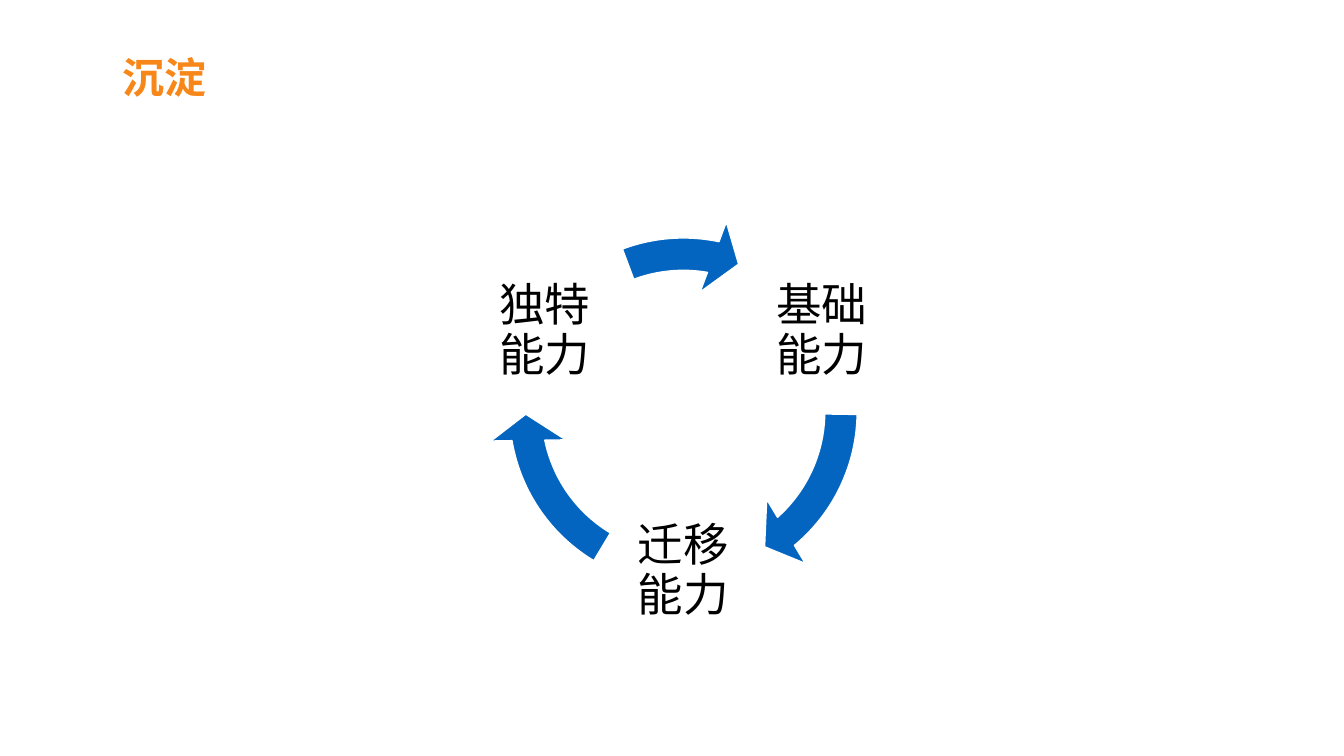
from math import cos, radians, sin
from pptx import Presentation
from pptx.dml.color import RGBColor
from pptx.enum.shapes import MSO_SHAPE
from pptx.enum.text import MSO_ANCHOR, PP_ALIGN
from pptx.oxml.ns import qn
from pptx.util import Pt

STEPS = [
    ("基础", "能力", -30, (29.62, 0.53)),
    ("迁移", "能力", 90, (101.705, 72.615)),
    ("独特", "能力", 210, (168.55, 149.685)),
]


def paint(color, tone):
    """Set a solid colour from a hex string."""
    color.rgb = RGBColor.from_string(tone)


def add_run(para, text, size, face, tone, bold=False):
    """Add one run of styled text."""
    run = para.add_run()
    run.text = text
    font = run.font
    font.size, font.name, font.bold = Pt(size), face, bold
    paint(font.color, tone)
    return run


def text_frame(shapes, box, anchor, inset):
    """Add a wrapping text box and return its frame."""
    frame = shapes.add_textbox(*map(Pt, box)).text_frame
    frame.word_wrap = True
    frame.vertical_anchor = anchor
    frame.margin_left = frame.margin_right = Pt(inset)
    frame.margin_top = frame.margin_bottom = Pt(inset)
    return frame


def add_title(shapes, box, text):
    """Place the slide heading at the bottom of its box."""
    face = "Noto Sans CJK SC"
    frame = text_frame(shapes, box, MSO_ANCHOR.BOTTOM, 3)
    run = add_run(frame.paragraphs[0], text, 60, face, "F88719", True)
    east = run.font._element.makeelement(qn("a:ea"), {"typeface": face})
    run.font._element.append(east)


def add_label(shapes, box, lines):
    """Place a centred label of two lines."""
    para = text_frame(shapes, box, MSO_ANCHOR.MIDDLE, 6.5).paragraphs[0]
    para.alignment = PP_ALIGN.CENTER
    para.line_spacing = 0.9
    for row, line in enumerate(lines):
        if row:
            para.add_line_break()
        add_run(para, line, 65, "Arial", "000000")


def add_arrow(shapes, box, span):
    """Place one arc arrow of the ring."""
    arrow = shapes.add_shape(MSO_SHAPE.CIRCULAR_ARROW, *map(Pt, box))
    arrow.shadow.inherit = False
    for index, value in enumerate((0.083, 5.765, *span, 0.096)):
        arrow.adjustments[index] = value
    arrow.fill.solid()
    paint(arrow.fill.fore_color, "0365C0")
    paint(arrow.line.color, "FFFFFF")
    arrow.line.width = Pt(2)


def add_cycle(shapes, box, steps):
    """Place labels around a ring and the arrows that join them."""
    left, top, wide, high = box
    side, reach = 0.424 * wide, 0.41 * wide
    for first, last, angle, span in steps:
        turn = radians(angle)
        x = left + wide / 2 + reach * cos(turn) - side / 2
        y = top + high / 2 + reach * sin(turn) - side / 2
        add_label(shapes, (x, y, side, side), (first, last))
        add_arrow(shapes, box, span)


deck = Presentation()
deck.slide_width, deck.slide_height = Pt(1920), Pt(1080)
slide = deck.slides.add_slide(deck.slide_layouts[6])
add_title(slide.shapes, (172, 41, 893, 108), "沉淀")
add_cycle(slide.shapes.add_group_shape().shapes, (697.6, 309.6, 557.3, 557.3), STEPS)
deck.save("out.pptx")
